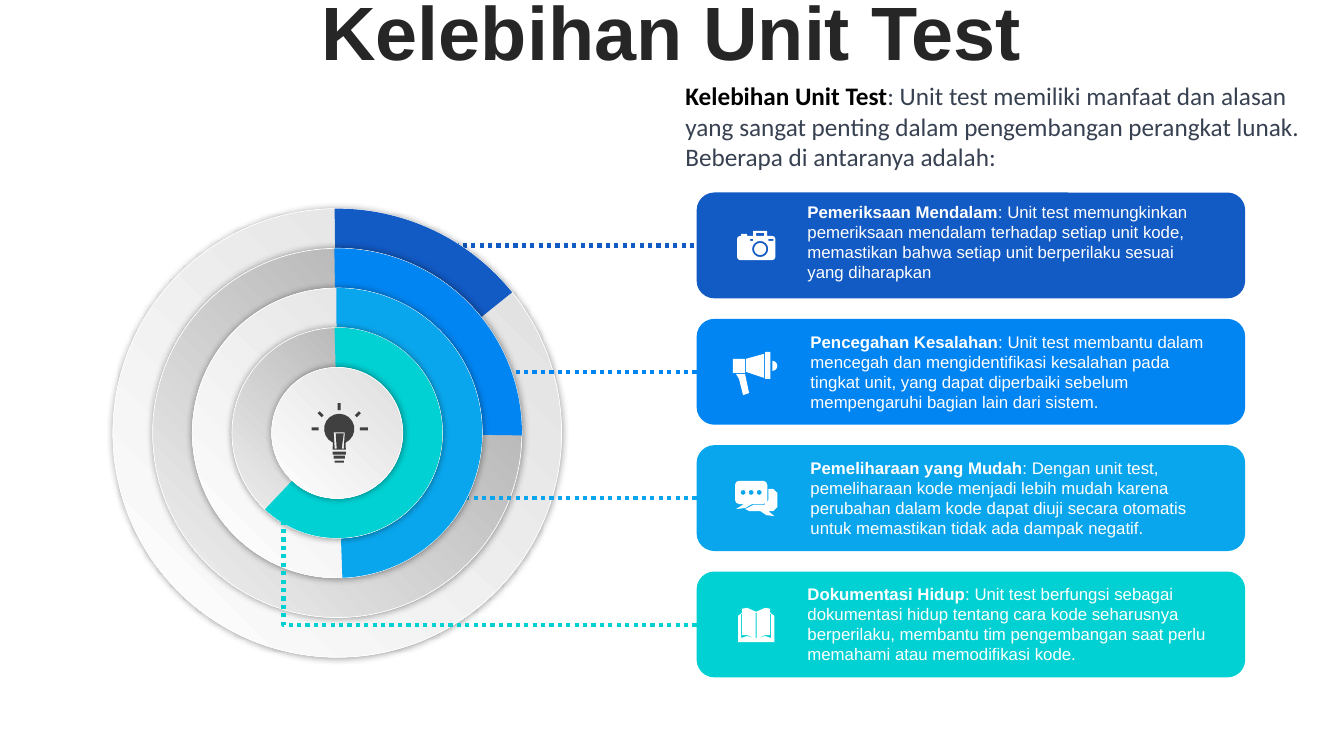
from math import cos, radians, sin

from lxml import etree
from pptx import Presentation
from pptx import util as u
from pptx.dml.color import RGBColor
from pptx.enum import dml, shapes, text
from pptx.oxml import ns

WHITE = RGBColor(0xFF, 0xFF, 0xFF)
BLACK = RGBColor(0, 0, 0)
TITLE = RGBColor(0x26, 0x26, 0x26)
SLATE = RGBColor(0x37, 0x41, 0x51)
BULB = RGBColor(0x40, 0x40, 0x40)
BLUES = (RGBColor(0x12, 0x5A, 0xC4), RGBColor(0x00, 0x85, 0xF2),
         RGBColor(0x0A, 0xA6, 0xED), RGBColor(0x01, 0xD1, 0xD3))
PALE = (RGBColor(0xDE, 0xDE, 0xDE), WHITE)
GREY = (RGBColor(0xA6, 0xA6, 0xA6), RGBColor(0xF2, 0xF2, 0xF2))

CARD_LEFT, CARD_TOP, CARD_STEP = 6.91, 1.91, 3.76 / 3
CENTER_X, CENTER_Y = 3.345, 4.295
DISC, DISC_STEP = 4.45, 3.15 / 4

# Advantage, explanation, text left, text top
ADVANTAGES = (
    ("Pemeriksaan Mendalam",
     ": Unit test memungkinkan pemeriksaan mendalam terhadap setiap unit kode, "
     "memastikan bahwa setiap unit berperilaku sesuai yang diharapkan", 7.91, 1.95),
    ("Pencegahan Kesalahan",
     ": Unit test membantu dalam mencegah dan mengidentifikasi kesalahan pada tingkat "
     "unit, yang dapat diperbaiki sebelum mempengaruhi bagian lain dari sistem.", 7.94, 3.24),
    ("Pemeliharaan yang Mudah",
     ": Dengan unit test, pemeliharaan kode menjadi lebih mudah karena perubahan dalam kode "
     "dapat diuji secara otomatis untuk memastikan tidak ada dampak negatif.", 7.94, 4.49),
    ("Dokumentasi Hidup",
     ": Unit test berfungsi sebagai dokumentasi hidup tentang cara kode seharusnya berperilaku, "
     "membantu tim pengembangan saat perlu memahami atau memodifikasi kode.", 7.91, 5.74),
)
# Start and end angle of each coloured sector, in degrees
SECTORS = ((269.33, 321.19), (269.1, 0.77), (269.61, 87.97), (268.59, 133.32))
LINE_STARTS = (4.34, 4.53, 4.53)


def arc(cx, cy, radius, start, end, steps):
    angles = [radians(start + (end - start) * i / steps) for i in range(steps + 1)]
    return [(cx + radius * cos(a), cy + radius * sin(a)) for a in angles]


def box(x, y, w, h):
    return [(x, y), (x + w, y), (x + w, y + h), (x, y + h)]


def rounded(x, y, w, h, r):
    corners = box(x + r, y + r, w - 2 * r, h - 2 * r)
    return [pt for i, (cx, cy) in enumerate(corners)
            for pt in arc(cx, cy, r, 180 + 90 * i, 270 + 90 * i, 2)]


def circle(cx, cy, r, steps):
    return arc(cx, cy, r, 0, 360, steps)[:-1]


def mirror(points, axis):
    return [(2 * axis - x, y) for x, y in reversed(points)]


class Deck:
    def __init__(self, font="Arial"):
        self.prs = Presentation()
        self.prs.slide_width, self.prs.slide_height = u.Inches(13.33), u.Inches(7.5)
        self.font = font
        self.slide = self.prs.slides.add_slide(self.prs.slide_layouts[6])

    def text(self, content, x, y, w, h, lead="", size=12, font=None, color=WHITE,
             lead_color=WHITE, bold=False, align=None, anchor=None, spacing=None, before=None):
        tf = self.slide.shapes.add_textbox(*map(u.Inches, (x, y, w, h))).text_frame
        tf.word_wrap = True
        if anchor is not None:
            tf.vertical_anchor = anchor
        p = tf.paragraphs[0]
        p.alignment, p.line_spacing, p.space_before = align, spacing, before
        for part, is_bold, shade in ((lead, True, lead_color), (content, bold, color)):
            if part:
                r = p.add_run()
                r.text = part
                r.font.size, r.font.name, r.font.bold = u.Pt(size), font or self.font, is_bold
                r.font.color.rgb = shade

    def shape(self, kind, x, y, w, h, color):
        sp = self.slide.shapes.add_shape(kind, *map(u.Inches, (x, y, w, h)))
        sp.shadow.inherit = False
        sp.fill.solid()
        sp.fill.fore_color.rgb = color
        sp.line.fill.background()
        return sp

    def disc(self, level, colors):
        size = DISC - DISC_STEP * level
        bounds = (CENTER_X - size / 2, CENTER_Y - size / 2, size, size)
        sp = self.shape(shapes.MSO_SHAPE.OVAL, *bounds, WHITE)
        sp.fill.gradient()
        sp.fill.gradient_angle = 225
        for stop, color in zip(sp.fill.gradient_stops, colors):
            stop.color.rgb = color
        sp.line.color.rgb, sp.line.width = WHITE, u.Pt(0.5)
        # Soft shadow around the disc
        effects = sp._element.spPr.find(ns.qn("a:effectLst"))
        shadow = etree.SubElement(effects, ns.qn("a:outerShdw"), blurRad=str(u.Pt(5)),
                                  dist="0", dir="0", algn="ctr", rotWithShape="0")
        black = etree.SubElement(shadow, ns.qn("a:srgbClr"), val="000000")
        etree.SubElement(black, ns.qn("a:alpha"), val="40000")
        return bounds

    def sector(self, bounds, angles, color):
        sp = self.shape(shapes.MSO_SHAPE.PIE, *bounds, color)
        for i, degrees in enumerate(angles):
            sp.adjustments[i] = degrees * 0.6

    def dotted(self, kind, x1, y1, x2, y2, color):
        line = self.slide.shapes.add_connector(kind, *map(u.Inches, (x1, y1, x2, y2)))
        line.line.color.rgb, line.line.width = color, u.Pt(3)
        line.line.dash_style = dml.MSO_LINE.ROUND_DOT
        etree.SubElement(line._element.spPr, ns.qn("a:effectLst"))
        return line

    def icon(self, contours, color=WHITE):
        """One filled outline; a contour inside another cuts a hole."""
        outlines = [[(u.Inches(x), u.Inches(y)) for x, y in c] for c in contours]
        builder = self.slide.shapes.build_freeform(*outlines[0][0])
        for i, points in enumerate(outlines):
            if i:
                builder.move_to(*points[0])
            builder.add_line_segments(points[1:], close=True)
        sp = builder.convert_to_shape()
        sp.shadow.inherit = False
        sp.fill.solid()
        sp.fill.fore_color.rgb = color
        sp.line.fill.background()


def camera():
    handle = [(7.47, 2.34), (7.47, 2.29), (7.61, 2.29), (7.61, 2.34)]
    return [rounded(7.31, 2.34, 0.38, 0.24, 0.03), handle,
            box(7.5, 2.31, 0.08, 0.03), box(7.35, 2.32, 0.06, 0.02),
            circle(7.54, 2.47, 0.08, 16), circle(7.54, 2.47, 0.06, 16),
            box(7.44, 2.37, 0.03, 0.02), box(7.62, 2.37, 0.05, 0.02)]


def megaphone():
    return [box(7.27, 3.56, 0.12, 0.14), arc(7.66, 3.63, 0.05, -90, 90, 6),
            [(7.4, 3.56), (7.58, 3.51), (7.58, 3.75), (7.4, 3.69)],
            box(7.59, 3.49, 0.05, 0.27),
            [(7.3, 3.71), (7.39, 3.71), (7.43, 3.9), (7.37, 3.92), (7.33, 3.76)]]


def chat():
    front_tail = [(7.38, 5), (7.46, 5), (7.39, 5.04), (7.3, 5.05)]
    back = [(7.62, 4.85), (7.67, 4.85), (7.71, 4.89), (7.71, 5.03), (7.67, 5.07),
            (7.62, 5.07), (7.68, 5.12), (7.6, 5.11), (7.54, 5.07), (7.43, 5.07),
            (7.39, 5.05), (7.47, 5.01), (7.58, 5.01), (7.62, 4.96)]
    dots = [circle(x, 4.885, 0.025, 8) for x in (7.37, 7.45, 7.53)]
    return [rounded(7.29, 4.77, 0.32, 0.23, 0.04), front_tail, back, *dots]


def book():
    cover = [(7.32, 6.37), (7.32, 6.11), (7.36, 6.08), (7.36, 6.04), (7.41, 6.03), (7.5, 6.07)]
    gap = [(7.35, 6.09), (7.36, 6.09), (7.36, 6.3), (7.41, 6.3), (7.5, 6.34),
           (7.41, 6.31), (7.35, 6.33)]
    return [cover + mirror(cover[:-1], 7.5), gap, mirror(gap, 7.5),
            box(7.495, 6.08, 0.01, 0.25)]


def bulb():
    filament = [(3.31, 4.29), (3.42, 4.29), (3.41, 4.45), (3.39, 4.45),
                (3.41, 4.3), (3.33, 4.3), (3.34, 4.45), (3.32, 4.45)]
    base = [box(3.32, 4.57, 0.09, 0.02), box(3.31, 4.52, 0.11, 0.03),
            box(3.3, 4.48, 0.13, 0.03)]
    ray = [(3.15, 4.1), (3.17, 4.08), (3.21, 4.12), (3.19, 4.14)]
    rays = [box(3.09, 4.24, 0.07, 0.03), box(3.57, 4.24, 0.08, 0.03),
            box(3.35, 4, 0.03, 0.07), ray, mirror(ray, 3.365)]
    glass = arc(3.365, 4.255, 0.15, 115, 425, 16) + [(3.43, 4.46), (3.3, 4.46)]
    return [glass, filament, *base, *rays]


def main():
    deck = Deck()
    # Title
    deck.text("Kelebihan Unit Test", 0.33, -0.04, 12.66, 0.79, size=54, color=TITLE, bold=True,
              align=text.PP_ALIGN.CENTER, anchor=text.MSO_ANCHOR.MIDDLE, spacing=0.9,
              before=u.Pt(10))
    # Cards
    cards = [deck.shape(shapes.MSO_SHAPE.ROUNDED_RECTANGLE, CARD_LEFT, CARD_TOP + CARD_STEP * i,
                        5.44, 1.05, color) for i, color in enumerate(BLUES)]
    # Rings, each drawn over the line that leads to its card
    for i, (color, angles) in enumerate(zip(BLUES, SECTORS)):
        if i < len(LINE_STARTS):
            y = CARD_TOP + CARD_STEP * i + 0.525
            line = deck.dotted(shapes.MSO_CONNECTOR.STRAIGHT, LINE_STARTS[i], y,
                               CARD_LEFT, y, color)
            line.end_connect(cards[i], 1)
        deck.sector(deck.disc(i, GREY if i % 2 else PALE), angles, color)
    deck.disc(4, PALE)
    # Bent line to the last card
    bent = deck.dotted(shapes.MSO_CONNECTOR.ELBOW, CARD_LEFT, 6.2, 2.77, 5.15, BLUES[3])
    guides = bent._element.spPr.find(ns.qn("a:prstGeom")).find(ns.qn("a:avLst"))
    etree.SubElement(guides, ns.qn("a:gd"), name="adj1", fmla="val 99000")
    # Card texts and icons
    for lead, content, x, y in ADVANTAGES:
        deck.text(content, x, y, 4.19, 0.91, lead=lead)
    for draw in (camera, megaphone, chat, book):
        deck.icon(draw())
    deck.icon(bulb(), BULB)
    # Introduction
    deck.text(": Unit test memiliki manfaat dan alasan yang sangat penting dalam pengembangan "
              "perangkat lunak. Beberapa di antaranya adalah:", 6.7, 0.75, 6.67, 1.01,
              lead="Kelebihan Unit Test", size=18, font="Calibri", color=SLATE, lead_color=BLACK)
    deck.prs.save("out.pptx")


if __name__ == "__main__":
    main()
